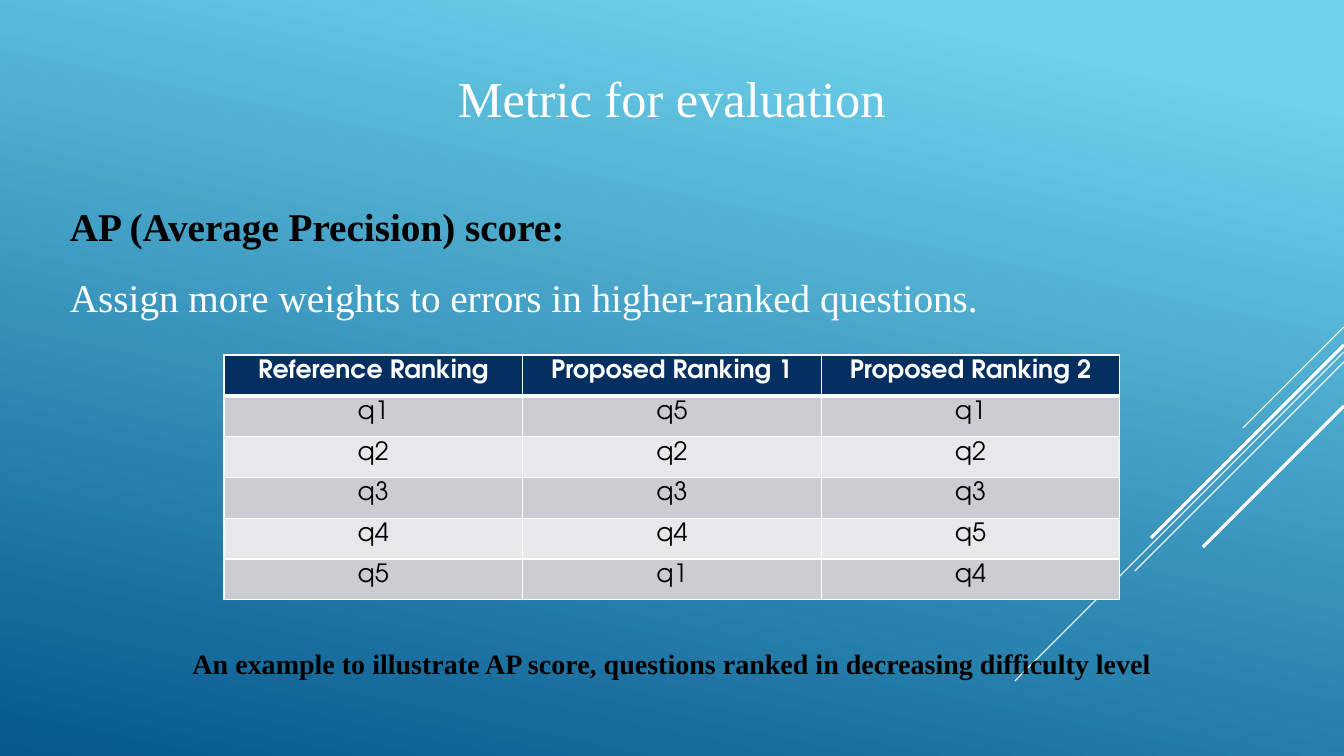
from dataclasses import dataclass

from lxml import etree
from pptx import Presentation
from pptx.dml.color import RGBColor
from pptx.enum.shapes import MSO_CONNECTOR
from pptx.enum.text import PP_ALIGN
from pptx.oxml.ns import qn
from pptx.util import Pt

EMU_PER_PX = 914400 / 100.8
STRAIGHT = MSO_CONNECTOR.STRAIGHT
LEFT, CENTER = PP_ALIGN.LEFT, PP_ALIGN.CENTER
SERIF, SANS = "Times New Roman", "TeX Gyre Adventor"
WHITE, BLACK, NAVY = "FFFFFF", "000000", "052F61"
BANDS = ("CCCDD2", "E7E8EA")
SLIDE_W, SLIDE_H = 1344, 756
TABLE_LEFT, TABLE_TOP, TABLE_W, TABLE_H = 224, 355, 896, 245
CELL_TOP_MARGIN = 5


@dataclass
class Ray:
    """A 45-degree line falling leftwards from the right slide edge."""
    top: int
    run: int
    weight: float


@dataclass
class Line:
    """One paragraph of a text box."""
    text: str
    size: int
    color: str
    bold: bool = False
    align: PP_ALIGN = CENTER
    spacing: float = 1.0


@dataclass
class Box:
    """A text box with its paragraphs."""
    left: int
    top: int
    width: int
    height: int
    lines: list[Line]


RAYS = [
    Ray(327, 101, 0.75),
    Ray(352, 329, 0.75),
    Ray(362, 209, 0.75),
    Ray(345, 193, 2.25),
    Ray(406, 141, 2.25),
]
BOXES = [
    Box(268, 62, 808, 72, [Line("Metric for evaluation", 36, WHITE)]),
    Box(60, 174, 981, 144, [
        Line("AP (Average Precision) score:", 28, BLACK, True, LEFT, 1.5),
        Line("Assign more weights to errors in higher-ranked questions.",
             28, WHITE, False, LEFT, 1.5),
    ]),
    Box(155, 642, 1034, 44, [
        Line("An example to illustrate AP score, questions ranked in "
             "decreasing difficulty level", 20, BLACK, True),
    ]),
]
RANKINGS = {
    "Reference Ranking": ["q1", "q2", "q3", "q4", "q5"],
    "Proposed Ranking 1": ["q5", "q2", "q3", "q4", "q1"],
    "Proposed Ranking 2": ["q1", "q2", "q3", "q5", "q4"],
}


def px(n: float) -> int:
    """Turn pixels into EMU."""
    return round(n * EMU_PER_PX)


def rgb(color: str) -> RGBColor:
    """Turn a hex string into a colour."""
    return RGBColor.from_string(color)


def style(p, size: int, font: str, color: str, bold: bool, align: PP_ALIGN) -> None:
    """Set the font and alignment of a paragraph."""
    p.alignment = align
    p.font.size = Pt(size)
    p.font.name = font
    p.font.bold = bold
    p.font.color.rgb = rgb(color)


def paint_background(s) -> None:
    """Fill the slide with the blue gradient."""
    fill = s.background.fill
    fill.gradient()
    fill.gradient_angle = 360 - 102
    stops = ((0.1, "6ED2EB"), (1.0, "06588E"))
    for stop, (position, color) in zip(fill.gradient_stops, stops):
        stop.position = position
        stop.color.rgb = rgb(color)


def add_ray(s, ray: Ray) -> None:
    """Draw one diagonal line."""
    sp = s.shapes.add_connector(STRAIGHT, px(SLIDE_W), px(ray.top),
                                px(SLIDE_W - ray.run), px(ray.top + ray.run))
    sp.line.color.rgb = rgb(WHITE)
    sp.line.width = Pt(ray.weight)
    etree.SubElement(sp.element.spPr, qn("a:effectLst"))


def add_box(s, box: Box) -> None:
    """Draw one text box."""
    sp = s.shapes.add_textbox(px(box.left), px(box.top), px(box.width), px(box.height))
    tf = sp.text_frame
    tf.word_wrap = True
    for i, line in enumerate(box.lines):
        p = tf.add_paragraph() if i else tf.paragraphs[0]
        p.text = line.text
        p.line_spacing = line.spacing
        style(p, line.size, SERIF, line.color, line.bold, line.align)


def set_borders(cell, top: float, bottom: float) -> None:
    """Give a cell white borders; the side ones are 1 pt wide."""
    tc_pr = cell._tc.get_or_add_tcPr()
    widths = {"lnL": 1, "lnR": 1, "lnT": top, "lnB": bottom}
    for i, (tag, width) in enumerate(widths.items()):
        ln = etree.Element(qn(f"a:{tag}"), w=str(Pt(width)))
        fill = etree.SubElement(ln, qn("a:solidFill"))
        etree.SubElement(fill, qn("a:srgbClr"), val=WHITE)
        tc_pr.insert(i, ln)


def add_rankings(s) -> None:
    """Draw the table with one ranking per column."""
    n_rows = 1 + max(len(ranking) for ranking in RANKINGS.values())
    n_cols = len(RANKINGS)
    table = s.shapes.add_table(n_rows, n_cols, px(TABLE_LEFT), px(TABLE_TOP),
                               px(TABLE_W), px(TABLE_H)).table
    for row in table.rows:
        row.height = px(TABLE_H / n_rows)
    for col, (heading, ranking) in enumerate(RANKINGS.items()):
        table.columns[col].width = px(TABLE_W / n_cols)
        for row, text in enumerate([heading, *ranking]):
            header = row == 0
            cell = table.cell(row, col)
            cell.margin_top, cell.margin_bottom = px(CELL_TOP_MARGIN), 0
            cell.fill.solid()
            cell.fill.fore_color.rgb = rgb(NAVY if header else BANDS[(row - 1) % 2])
            set_borders(cell, top=3 if row == 1 else 1, bottom=3 if header else 1)
            p = cell.text_frame.paragraphs[0]
            p.text = text
            style(p, 18, SANS, WHITE if header else BLACK, header, CENTER)


def main() -> None:
    """Build the slide and save it."""
    prs = Presentation()
    prs.slide_width, prs.slide_height = px(SLIDE_W), px(SLIDE_H)
    s = prs.slides.add_slide(prs.slide_layouts[6])
    paint_background(s)
    for ray in RAYS:
        add_ray(s, ray)
    *upper_boxes, caption = BOXES
    for box in upper_boxes:
        add_box(s, box)
    add_rankings(s)
    add_box(s, caption)
    prs.save("out.pptx")


main()
